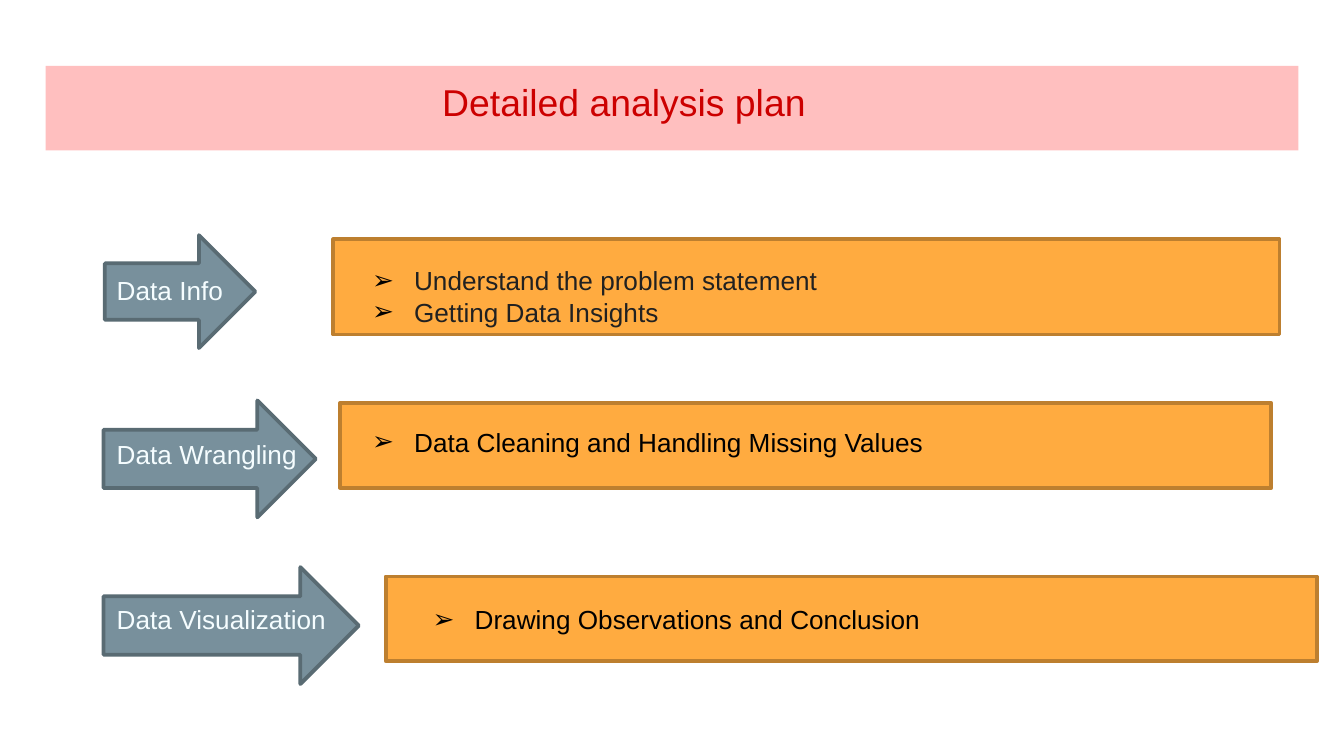
"""Build the slide with the detailed analysis plan in three steps."""
from pptx import Presentation
from pptx import util as u
from pptx.dml.color import RGBColor
from pptx.enum import shapes, text
from pptx.oxml.ns import qn
from lxml import etree

theme = {
    "font": "Arial", "head": 20, "body": 14, "edge": 2,
    "band": "FFBFBF", "title": "CC0000",
    "arrow": "78909C", "rim": "596B73", "label": "F5FDFF",
    "box": "FFAB40", "frame": "BD7F2F", "dark": "212121", "black": "000000",
}
deck = Presentation()
deck.slide_width = u.Inches(10)
deck.slide_height = deck.slide_width * 9 // 16
col, row = deck.slide_width / 100, deck.slide_height / 56.25
slide = deck.slides.add_slide(deck.slide_layouts[6])


def draw(kind, x, y, w, h, fill, line=None):
    item = slide.shapes.add_shape(
        kind, int(x * col), int(y * row), int(w * col), int(h * row))
    item.shadow.inherit = False
    item.fill.solid()
    item.fill.fore_color.rgb = RGBColor.from_string(theme[fill])
    if line:
        item.line.color.rgb = RGBColor.from_string(theme[line])
        item.line.width = u.Pt(theme["edge"])
    else:
        item.line.fill.background()
    return item


def write(frame, lines, size, color, mark=None):
    frame.word_wrap = True
    frame.vertical_anchor = text.MSO_ANCHOR.TOP
    frame.text = "\n".join(lines)
    for para in frame.paragraphs:
        para.alignment = text.PP_ALIGN.LEFT
        if mark:
            props = para._p.get_or_add_pPr()
            props.set("marL", str(int(3.13 * col)))
            props.set("indent", str(int(-3.13 * col)))
            tint = etree.SubElement(props, qn("a:buClr"))
            etree.SubElement(tint, qn("a:srgbClr"), val=theme["black"])
            etree.SubElement(props, qn("a:buFont"), typeface=theme["font"])
            etree.SubElement(props, qn("a:buChar"), char=mark)
        para.font.name = theme["font"]
        para.font.size = u.Pt(theme[size])
        para.font.color.rgb = RGBColor.from_string(theme[color])


band = draw(shapes.MSO_SHAPE.RECTANGLE, 3.4, 4.9, 93.2, 6.3, "band")
band.text_frame.margin_left = int(29.5 * col)
band.text_frame.margin_top = int(row)
write(band.text_frame, ["Detailed analysis plan"], "head", "title")

steps = [
    ("Data Info", (7.8, 17.5, 11.2, 8.4), 19.9, (24.8, 17.8, 70.4, 7.1),
     (26.7, 19.2, 69.3, 5.7), "dark",
     ["Understand the problem statement", "Getting Data Insights"]),
    ("Data Wrangling", (7.7, 29.8, 15.8, 8.7), 32.1, (25.3, 30, 69.3, 6.3),
     (26.7, 31.2, 66.2, 3.4), "black",
     ["Data Cleaning and Handling Missing Values"]),
    ("Data Visualization", (7.7, 42.2, 19, 8.7), 44.4, (28.7, 42.9, 69.3, 6.3),
     (31.2, 44.4, 59.8, 3.4), "black",
     ["Drawing Observations and Conclusion"]),
]
for name, arrow, top, box, area, color, points in steps:
    draw(shapes.MSO_SHAPE.RIGHT_ARROW, *arrow, "arrow", "rim")
    draw(shapes.MSO_SHAPE.RECTANGLE, *box, "box", "frame")
    notes = [((7.7, top, 19.8, 3.4), [name], "label", None),
             (area, points, color, "➢")]
    for (x, y, w, h), lines, ink, mark in notes:
        note = slide.shapes.add_textbox(
            int(x * col), int(y * row), int(w * col), int(h * row))
        write(note.text_frame, lines, "body", ink, mark)

deck.save("out.pptx")
